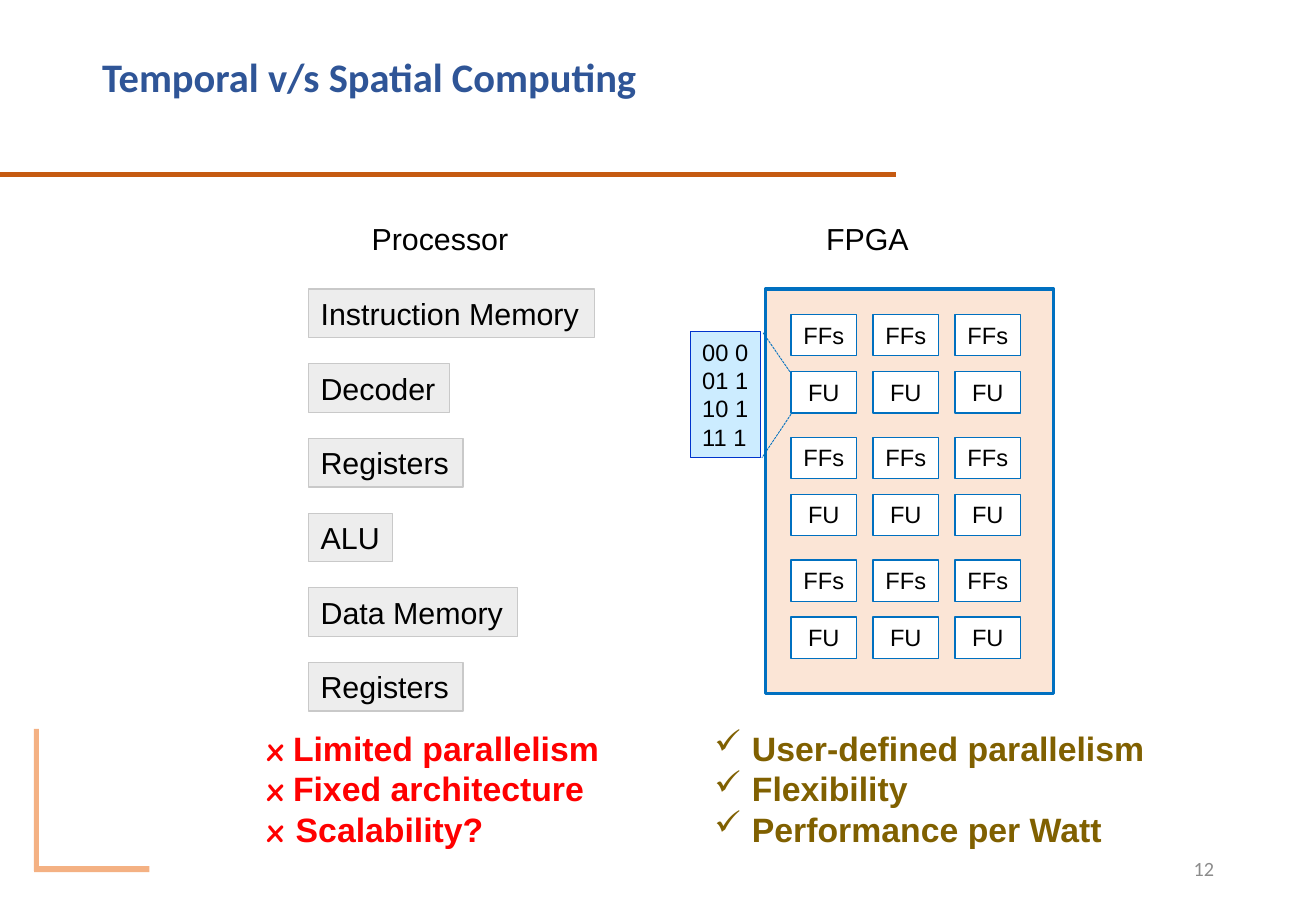
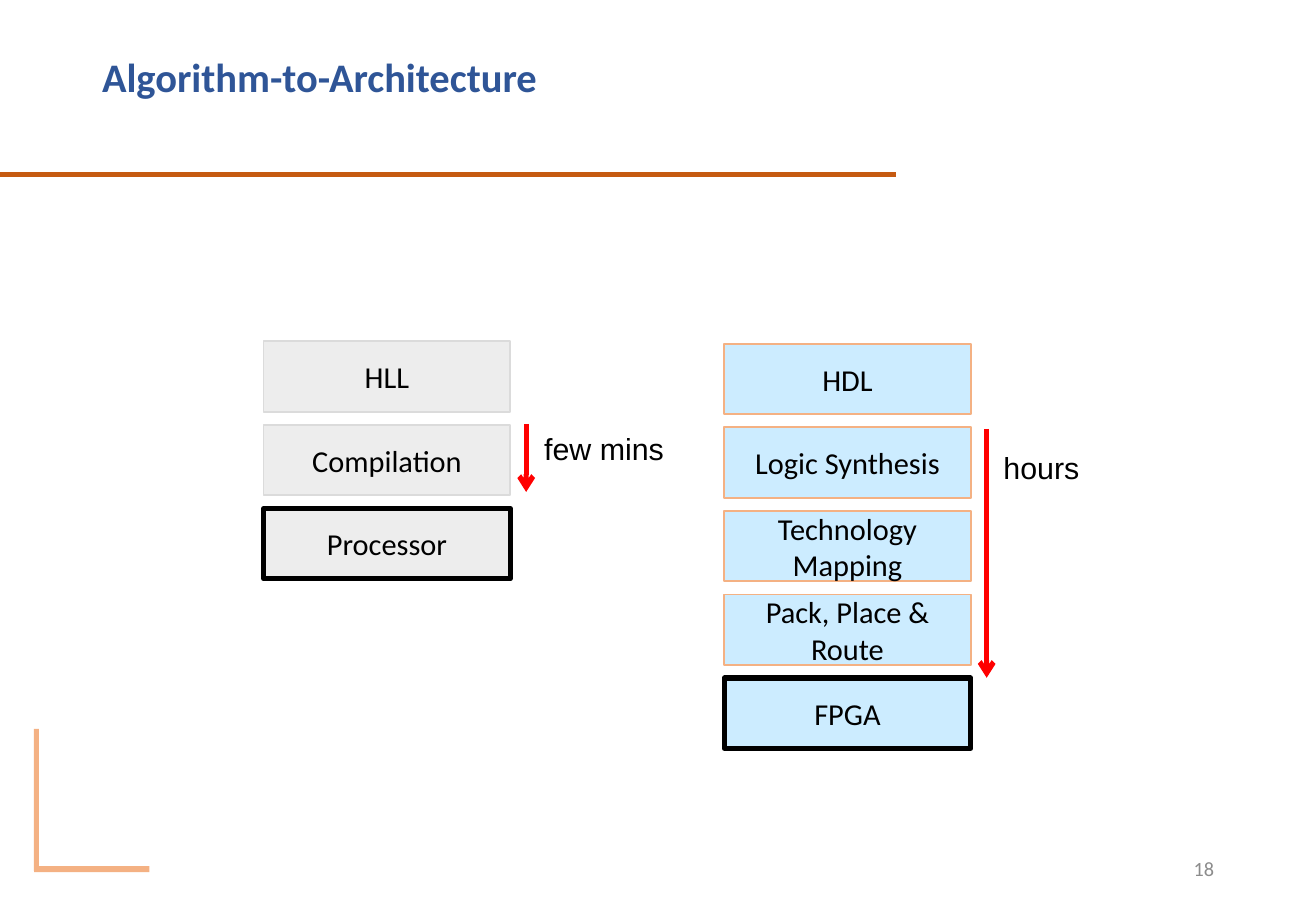
from dataclasses import dataclass
from typing import Optional, Sequence

from lxml import etree
from pptx import Presentation
from pptx.dml.color import RGBColor
from pptx.enum.dml import MSO_LINE
from pptx.enum.shapes import MSO_CONNECTOR, MSO_SHAPE
from pptx.enum.text import MSO_ANCHOR, MSO_AUTO_SIZE, PP_ALIGN
from pptx.oxml.ns import qn
from pptx.util import Inches, Pt

RECTANGLE, STRAIGHT = MSO_SHAPE.RECTANGLE, MSO_CONNECTOR.STRAIGHT
LEFT, CENTER, RIGHT = PP_ALIGN.LEFT, PP_ALIGN.CENTER, PP_ALIGN.RIGHT
TOP, MIDDLE = MSO_ANCHOR.TOP, MSO_ANCHOR.MIDDLE
FIT_SHAPE = MSO_AUTO_SIZE.SHAPE_TO_FIT_TEXT
DASHED = MSO_LINE.SQUARE_DOT

# Slide and its grid of square cells: 75 rows fill the height
SLIDE_W, SLIDE_H = Inches(10.83), Inches(7.5)
CELL = SLIDE_H / 75

# Palette
BLACK, WHITE, RED = "000000", "FFFFFF", "FF0000"
NAVY, RUST, PEACH = "2F5597", "C55A11", "F4B183"
GRAY, GRAY_EDGE, PALE_EDGE = "EDEDED", "C9C9C9", "DBDBDB"
SKY, SKY_EDGE, FABRIC, BLUE = "CCECFF", "0033CC", "FBE5D6", "0070C0"
OLIVE, PAGE_GRAY = "806000", "8C8C8C"


@dataclass(frozen=True)
class Box:
    """A place on the grid, in columns and rows."""
    col: float
    row: float
    cols: float
    rows: float

    def emu(self) -> list[int]:
        return [cells(n) for n in (self.col, self.row, self.cols, self.rows)]


@dataclass(frozen=True)
class TextStyle:
    size: float = 18
    font: str = "Arial"
    color: str = BLACK
    bold: bool = False
    align: PP_ALIGN = LEFT
    anchor: MSO_ANCHOR = TOP
    wrap: bool = False


@dataclass(frozen=True)
class Chip:
    name: str
    cols: float


@dataclass(frozen=True)
class Flow:
    """A stack of steps, the last one being the target device."""
    col: float
    row: float
    fill: str
    edge: str
    steps: tuple[str, ...]


@dataclass(frozen=True)
class Duration:
    text: str
    place: Box
    arrow_col: float
    start: float
    end: float


BODY = TextStyle()
TITLE = TextStyle(24, "Calibri", NAVY, True, LEFT, MIDDLE, True)
PAGE = TextStyle(12, "Calibri", PAGE_GRAY, False, RIGHT, MIDDLE, True)
STEP = TextStyle(18, "Calibri", BLACK, False, CENTER, MIDDLE, True)
UNIT = TextStyle(14, align=CENTER, wrap=True)
TRUTH_TABLE = TextStyle(14)
PROS = TextStyle(20, color=OLIVE, bold=True)
CONS = TextStyle(20, color=RED, bold=True)

CHIPS = (Chip("Instruction Memory", 23.5), Chip("Decoder", 11.6),
         Chip("Registers", 12.7), Chip("ALU", 6.9),
         Chip("Data Memory", 17.2), Chip("Registers", 12.7))
DRAWBACKS = (("x", " Limited parallelism"), ("x", " Fixed architecture"),
             ("x ", "Scalability?"))
FLOWS = (
    Flow(21.7, 28.1, GRAY, PALE_EDGE, ("HLL", "Compilation", "Processor")),
    Flow(59.6, 28.3, SKY, PEACH, ("HDL", "Logic Synthesis", "Technology Mapping",
                                  "Pack, Place & Route", "FPGA")),
)
DURATIONS = (
    Duration("few mins", Box(43.8, 34.9, 12, 4), 43.3, 34.9, 40.5),
    Duration("hours", Box(81.6, 36.5, 8.3, 4), 81.2, 35.3, 55.8),
)


def cells(count: float) -> int:
    return round(count * CELL)


def rgb(code: str) -> RGBColor:
    return RGBColor.from_string(code)


def write(shape, lines: Sequence[str], style: TextStyle, bullet: str = "") -> None:
    frame = shape.text_frame
    frame.text = "\n".join(lines)
    frame.word_wrap = style.wrap
    frame.vertical_anchor = style.anchor
    if not style.wrap:
        frame.auto_size = FIT_SHAPE
    for paragraph in frame.paragraphs:
        paragraph.alignment = style.align
        if bullet:
            props = paragraph._p.get_or_add_pPr()
            props.set("marL", str(cells(3.1)))
            props.set("indent", str(-cells(3.1)))
            etree.SubElement(props, qn("a:buChar")).set("char", bullet)
        font = paragraph.font
        font.name, font.size, font.bold = style.font, Pt(style.size), style.bold
        font.color.rgb = rgb(style.color)


def add_text(slide, place: Box, lines: Sequence[str], style: TextStyle,
             bullet: str = ""):
    label = slide.shapes.add_textbox(*place.emu())
    write(label, lines, style, bullet)
    return label


def add_block(slide, place: Box, fill: str, edge: Optional[str] = None,
              weight: float = 0.75, lines: Sequence[str] = (),
              style: TextStyle = BODY) -> None:
    block = slide.shapes.add_shape(RECTANGLE, *place.emu())
    block.shadow.inherit = False
    block.fill.solid()
    block.fill.fore_color.rgb = rgb(fill)
    if edge:
        block.line.color.rgb = rgb(edge)
        block.line.width = Pt(weight)
    else:
        block.line.fill.background()
    if lines:
        write(block, lines, style)


def add_line(slide, start: tuple[float, float], end: tuple[float, float],
             color: str, weight: float, dashed: bool = False,
             arrow: bool = False) -> None:
    rule = slide.shapes.add_connector(
        STRAIGHT, *(cells(n) for n in (*start, *end)))
    rule.line.color.rgb = rgb(color)
    rule.line.width = Pt(weight)
    if dashed:
        rule.line.dash_style = DASHED
    props = rule._element.spPr
    if arrow:
        etree.SubElement(props.find(qn("a:ln")), qn("a:tailEnd")).set("type", "arrow")
    etree.SubElement(props, qn("a:effectLst"))


def add_slide(deck, heading: str, page: int):
    """Start a slide with the shared title, rule, corner and page number."""
    slide = deck.slides.add_slide(deck.slide_layouts[5])
    add_block(slide, Box(2.8, 71.3, 9.5, 0.5), PEACH)
    add_block(slide, Box(2.8, 60, 0.4, 11.7), PEACH)
    add_line(slide, (0, 14.4), (73.7, 14.4), RUST, 3)
    title = slide.shapes.title
    title.left, title.top, title.width, title.height = Box(7.4, 3.4, 73.8, 6.2).emu()
    write(title, [heading], TITLE)
    title.text_frame.paragraphs[0].line_spacing = 0.9
    add_text(slide, Box(76.5, 69.5, 24.4, 4), [str(page)], PAGE)
    return slide


def add_drawbacks(slide) -> None:
    drawbacks = add_text(slide, Box(21, 59.4, 30.6, 11.1),
                         [mark for mark, _ in DRAWBACKS], CONS)
    for paragraph, (_, text) in zip(drawbacks.text_frame.paragraphs, DRAWBACKS):
        paragraph.runs[0].font.name = "Comic Neue"
        claim = paragraph.add_run()
        claim.text = text
        claim.font.name = CONS.font


def add_fpga(slide) -> None:
    add_block(slide, Box(63, 23.8, 23.7, 33.3), FABRIC, BLUE, 2.25)
    # Lookup table magnified from the first functional unit
    add_block(slide, Box(56.8, 27.3, 5.8, 10.4), SKY, SKY_EDGE,
              lines=("00 0", "01 1", "10 1", "11 1"), style=TRUTH_TABLE)
    add_line(slide, (65, 30.6), (62.8, 27.4), BLUE, 0.5, dashed=True)
    add_line(slide, (65.1, 34.1), (62.7, 37.7), BLUE, 0.5, dashed=True)
    # Three by three pairs of flip-flops and functional units
    for pair in range(9):
        across, down = pair % 3, pair // 3
        for offset, unit in ((0, "FFs"), (4.7, "FU")):
            place = Box(65.1 + 6.75 * across, 25.9 + 10.1 * down + offset, 5.4, 3.4)
            add_block(slide, place, WHITE, BLUE, lines=[unit], style=UNIT)


def build_comparison(deck) -> None:
    slide = add_slide(deck, "Temporal v/s Spatial Computing", 12)
    # Processor side
    add_text(slide, Box(29.6, 17.6, 13.4, 4), ["Processor"], BODY)
    for index, chip in enumerate(CHIPS):
        add_block(slide, Box(25.4, 23.8 + 6.15 * index, chip.cols, 4),
                  GRAY, GRAY_EDGE, lines=[chip.name])
    add_drawbacks(slide)
    # FPGA side
    add_text(slide, Box(67, 17.6, 8.9, 4), ["FPGA"], BODY)
    add_fpga(slide)
    add_text(slide, Box(57.8, 59.4, 37.7, 11.1),
             ("User-defined parallelism", "Flexibility", "Performance per Watt"),
             PROS, "✓")


def build_flows(deck) -> None:
    slide = add_slide(deck, "Algorithm-to-Architecture", 18)
    for flow in FLOWS:
        for index, step in enumerate(flow.steps):
            is_target = index == len(flow.steps) - 1
            add_block(slide, Box(flow.col, flow.row + 6.88 * index, 20.3, 5.8),
                      flow.fill, BLACK if is_target else flow.edge,
                      3 if is_target else 1, [step], STEP)
    # Time each flow takes
    for duration in DURATIONS:
        add_line(slide, (duration.arrow_col, duration.start),
                 (duration.arrow_col, duration.end), RED, 3, arrow=True)
        add_text(slide, duration.place, [duration.text], BODY)


def main() -> None:
    deck = Presentation()
    deck.slide_width, deck.slide_height = SLIDE_W, SLIDE_H
    build_comparison(deck)
    build_flows(deck)
    deck.save("out.pptx")


if __name__ == "__main__":
    main()
